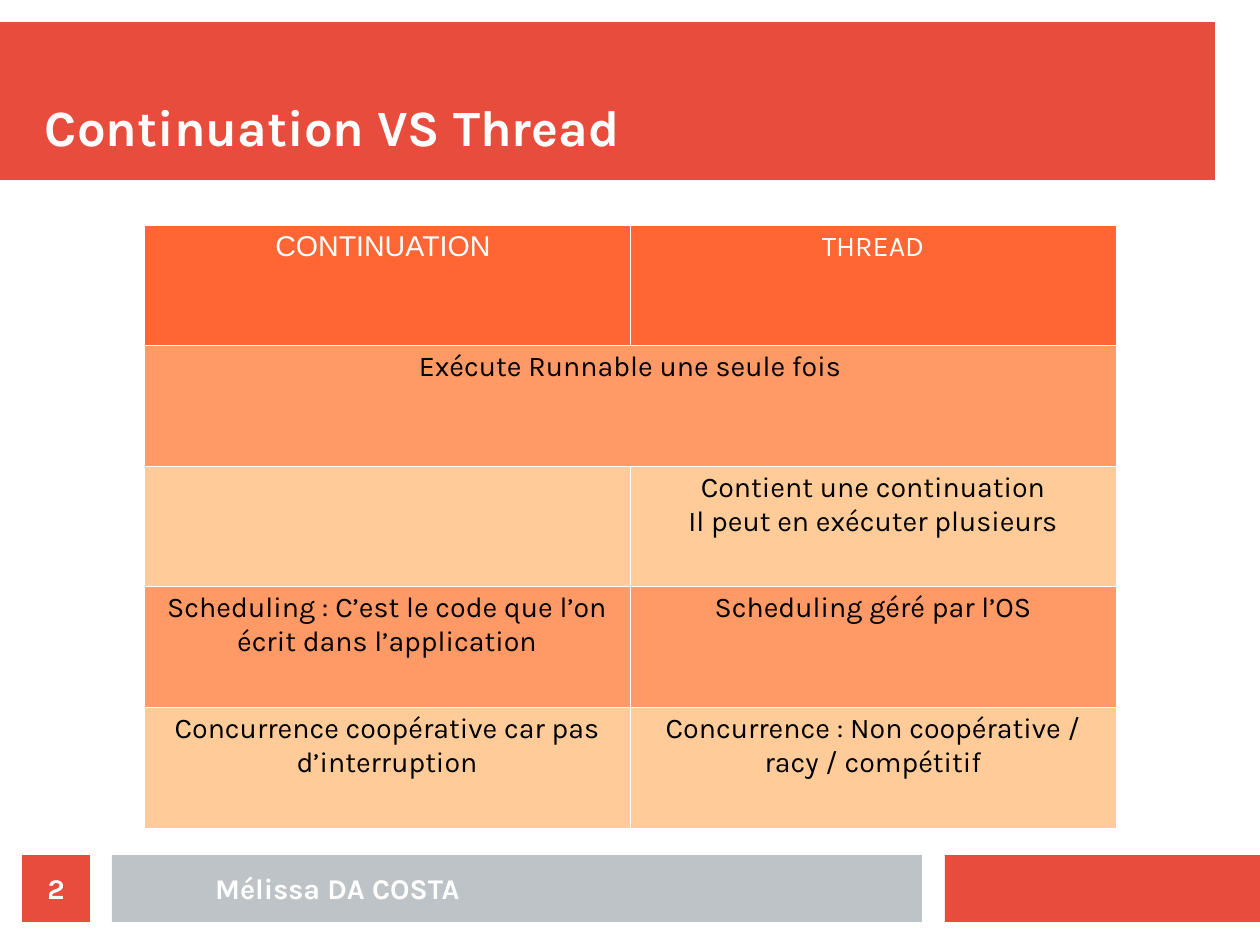
import lxml.etree
import pptx
import pptx.dml.color
import pptx.enum.shapes
import pptx.enum.text
import pptx.oxml.ns
import pptx.util

PX = 8000
COLORS = {
    "red": "E74C3C",
    "gray": "BDC3C7",
    "header": "FF6633",
    "dark": "FF9966",
    "light": "FFCC99",
    "white": "FFFFFF",
    "black": "000000",
}
ALIGN = pptx.enum.text.PP_ALIGN
ANCHOR = pptx.enum.text.MSO_ANCHOR


def rgb(name):
    return pptx.dml.color.RGBColor.from_string(COLORS[name])


def write_text(text_frame, text, color, size=18, bold=False, font="Karla", align=ALIGN.CENTER):
    text_frame.text = text
    for paragraph in text_frame.paragraphs:
        paragraph.alignment = align
        for run in paragraph.runs:
            run.font.name = font
            run.font.size = pptx.util.Pt(size)
            run.font.bold = bold
            run.font.color.rgb = rgb(color)


presentation = pptx.Presentation()
presentation.slide_width = 1260 * PX
presentation.slide_height = 945 * PX
slide = presentation.slides.add_slide(presentation.slide_layouts[5])

# Coloured bars
bars = {}
for name, color, left, top, width, height in [
    ("title", "red", 0, 22, 1215, 158),
    ("corner", "red", 945, 855, 315, 67),
    ("author", "gray", 112, 855, 810, 67),
    ("number", "red", 22, 855, 68, 67),
]:
    bar = slide.shapes.add_shape(
        pptx.enum.shapes.MSO_SHAPE.RECTANGLE, left * PX, top * PX, width * PX, height * PX
    )
    bar.shadow.inherit = False
    bar.fill.solid()
    bar.fill.fore_color.rgb = rgb(color)
    bar.line.fill.background()
    bars[name] = bar

# Title, in front of its bar
title = slide.shapes.title
title.left, title.top, title.width, title.height = 45 * PX, 45 * PX, 1170 * PX, 112 * PX
bars["number"]._element.addnext(title._element)
write_text(title.text_frame, "Continuation VS Thread", "white", 32, True, align=ALIGN.LEFT)

# Footer
author = slide.shapes.add_textbox(135 * PX, 855 * PX, 405 * PX, 67 * PX)
write_text(author.text_frame, "Mélissa DA COSTA", "white", bold=True)
write_text(bars["number"].text_frame, "2", "white", bold=True)

for shape, anchor in [
    (title, ANCHOR.BOTTOM),
    (author, ANCHOR.MIDDLE),
    (bars["number"], ANCHOR.MIDDLE),
]:
    frame = shape.text_frame
    frame.margin_left = frame.margin_top = frame.margin_right = frame.margin_bottom = 0
    frame.word_wrap = True
    frame.auto_size = pptx.enum.text.MSO_AUTO_SIZE.NONE
    frame.vertical_anchor = anchor

# Comparison table
comparison = [
    ("header", 120, ["CONTINUATION ", "THREAD"]),
    ("dark", 121, ["Exécute Runnable une seule fois", ""]),
    ("light", 120, ["", "Contient une continuation\nIl peut en exécuter plusieurs"]),
    ("dark", 121, [
        "Scheduling : C’est le code que l’on écrit dans l’application",
        "Scheduling géré par l’OS",
    ]),
    ("light", 121, [
        "Concurrence coopérative car pas d’interruption",
        "Concurrence : Non coopérative / racy / compétitif",
    ]),
]
table = slide.shapes.add_table(
    len(comparison), 2, 144 * PX, 225 * PX, 972 * PX, 603 * PX
).table
for column in table.columns:
    column.width = 486 * PX

for row_index, (fill, height, texts) in enumerate(comparison):
    table.rows[row_index].height = height * PX
    for column_index, text in enumerate(texts):
        cell = table.cell(row_index, column_index)
        cell.fill.solid()
        cell.fill.fore_color.rgb = rgb(fill)
        font = "Arial" if row_index == column_index == 0 else "Karla"
        write_text(cell.text_frame, text, "white" if fill == "header" else "black", font=font)
        properties = cell._tc.get_or_add_tcPr()
        for position, side in enumerate(["lnL", "lnR", "lnT", "lnB"]):
            border = lxml.etree.Element(pptx.oxml.ns.qn("a:" + side), w="762")
            line_fill = lxml.etree.SubElement(border, pptx.oxml.ns.qn("a:solidFill"))
            lxml.etree.SubElement(line_fill, pptx.oxml.ns.qn("a:srgbClr"), val=COLORS["white"])
            properties.insert(position, border)
table.cell(1, 0).merge(table.cell(1, 1))

presentation.save("out.pptx")
